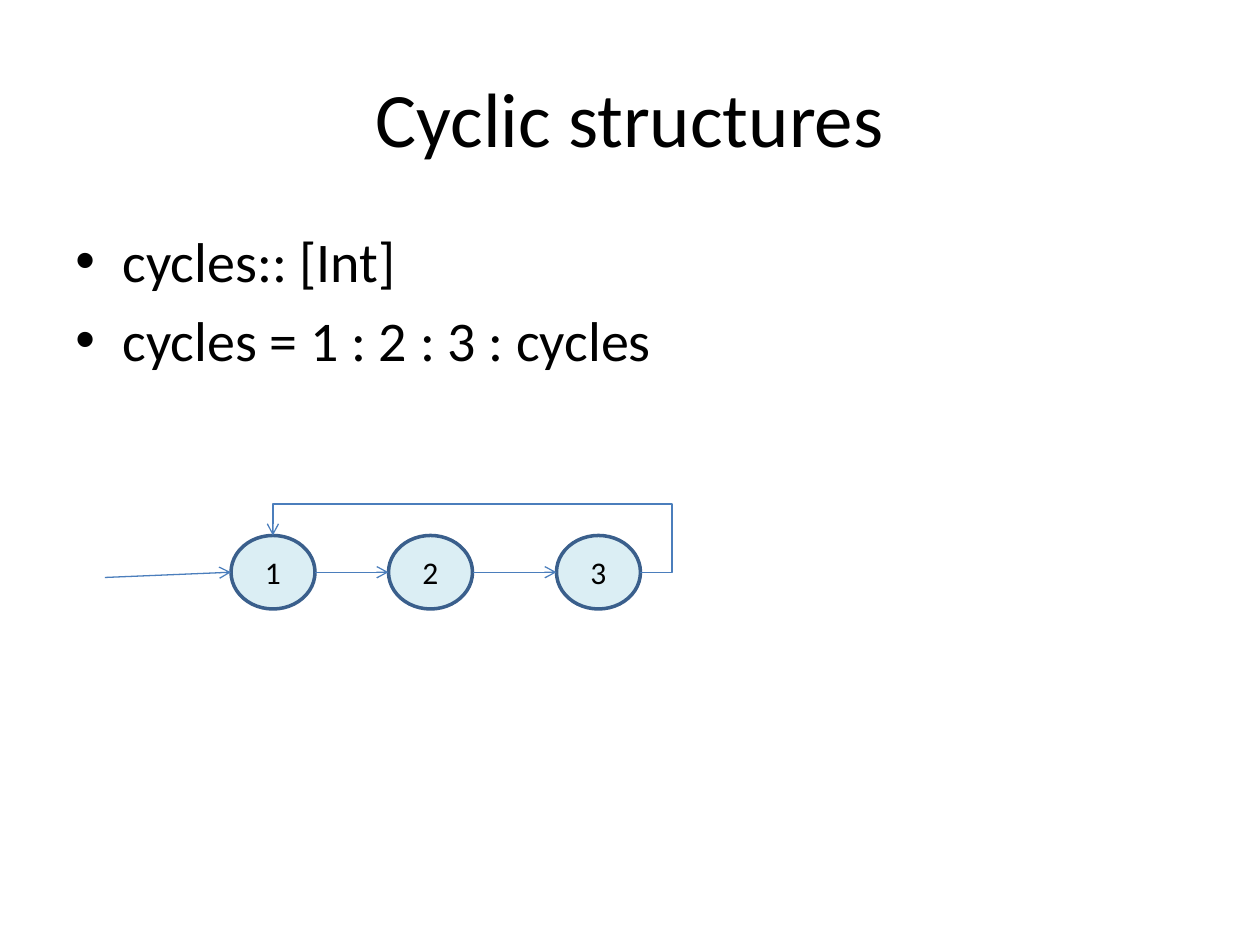
from itertools import pairwise

from lxml.etree import SubElement
from pptx import Presentation
from pptx.dml.color import RGBColor
from pptx.enum.shapes import MSO_CONNECTOR as CONN, MSO_SHAPE as SHAPE
from pptx.enum.text import MSO_ANCHOR as ANCHOR, PP_ALIGN as ALIGN
from pptx.oxml.ns import qn
from pptx.util import Emu, Pt

COLORS = {"text": "000000", "node": "DBEEF4", "ring": "3A5F8C", "arrow": "4B7EBC"}
FONT = "Calibri"
NODE_W, NODE_H, NODE_TOP = 64, 56, 408
NODE_LEFTS = {"1": 176, "2": 296, "3": 424}


def px(n):
    """Turn whole pixels, 96 to the inch, into EMU."""
    return Emu(n * 9525)


def rgb(name):
    """Look up a named colour."""
    return RGBColor.from_string(COLORS[name])


def add_run(p, text, size):
    """Add one run in the slide's font."""
    r = p.add_run()
    r.text = text
    r.font.name = FONT
    r.font.size = Pt(size)
    r.font.color.rgb = rgb("text")


def add_text_box(s, box, anchor):
    """Add a wrapping text box and return its text frame."""
    tf = s.shapes.add_textbox(*map(px, box)).text_frame
    tf.word_wrap = True
    tf.vertical_anchor = anchor
    return tf


def add_title(s, text):
    """Add the centred title."""
    p = add_text_box(s, (48, 29, 864, 120), ANCHOR.MIDDLE).paragraphs[0]
    p.alignment = ALIGN.CENTER
    add_run(p, text, 44)


def add_bullets(s, lines):
    """Add the bulleted body text."""
    tf = add_text_box(s, (48, 168, 864, 475), ANCHOR.TOP)
    for i, line in enumerate(lines):
        p = tf.add_paragraph() if i else tf.paragraphs[0]
        p.space_before = Pt(6.4)
        pPr = p._p.get_or_add_pPr()
        pPr.set("marL", str(px(36)))
        pPr.set("indent", str(px(-36)))
        SubElement(pPr, qn("a:buFont"), typeface="Arial")
        SubElement(pPr, qn("a:buChar"), char="•")
        add_run(p, line, 32)


def add_node(s, label, left):
    """Add one list cell as a labelled ellipse."""
    sp = s.shapes.add_shape(SHAPE.OVAL, *map(px, (left, NODE_TOP, NODE_W, NODE_H)))
    sp.shadow.inherit = False
    sp.fill.solid()
    sp.fill.fore_color.rgb = rgb("node")
    sp.line.color.rgb = rgb("ring")
    sp.line.width = Pt(2)
    tf = sp.text_frame
    tf.vertical_anchor = ANCHOR.MIDDLE
    p = tf.paragraphs[0]
    p.alignment = ALIGN.CENTER
    add_run(p, label, 18)


def add_arrow(s, start, end, kind=CONN.STRAIGHT):
    """Add a thin connector with an open arrowhead at its end."""
    cxn = s.shapes.add_connector(kind, *map(px, start + end))
    cxn.line.color.rgb = rgb("arrow")
    cxn.line.width = Pt(0.75)
    SubElement(cxn.line._get_or_add_ln(), qn("a:tailEnd"), type="arrow")
    SubElement(cxn._element.spPr, qn("a:effectLst"))
    return cxn


def add_loop(s, start, end, right, top):
    """Add the elbow arrow that runs out to right, up to top and back to end."""
    cxn = add_arrow(s, start, end, CONN.ELBOW)
    geom = cxn._element.spPr.find(qn("a:prstGeom"))
    geom.set("prst", "bentConnector4")
    guides = geom.find(qn("a:avLst"))
    if guides is None:
        guides = SubElement(geom, qn("a:avLst"))
    bends = ((right - start[0]) / (end[0] - start[0]),
             (top - start[1]) / (end[1] - start[1]))
    for i, bend in enumerate(bends, 1):
        SubElement(guides, qn("a:gd"), name=f"adj{i}", fmla=f"val {round(bend * 100000)}")


def main():
    """Build the slide and save it."""
    prs = Presentation()
    prs.slide_width, prs.slide_height = px(960), px(720)
    s = prs.slides.add_slide(prs.slide_layouts[6])
    add_title(s, "Cyclic structures")
    add_bullets(s, ["cycles:: [Int]", "cycles = 1 : 2 : 3 : cycles"])
    for label, left in NODE_LEFTS.items():
        add_node(s, label, left)
    lefts = list(NODE_LEFTS.values())
    mid = NODE_TOP + NODE_H // 2
    for a, b in pairwise(lefts):
        add_arrow(s, (a + NODE_W, mid), (b, mid))
    add_loop(s, (lefts[-1] + NODE_W, mid), (lefts[0] + NODE_W // 2, NODE_TOP), 512, 384)
    add_arrow(s, (80, 440), (lefts[0], mid))
    prs.save("out.pptx")


if __name__ == "__main__":
    main()
